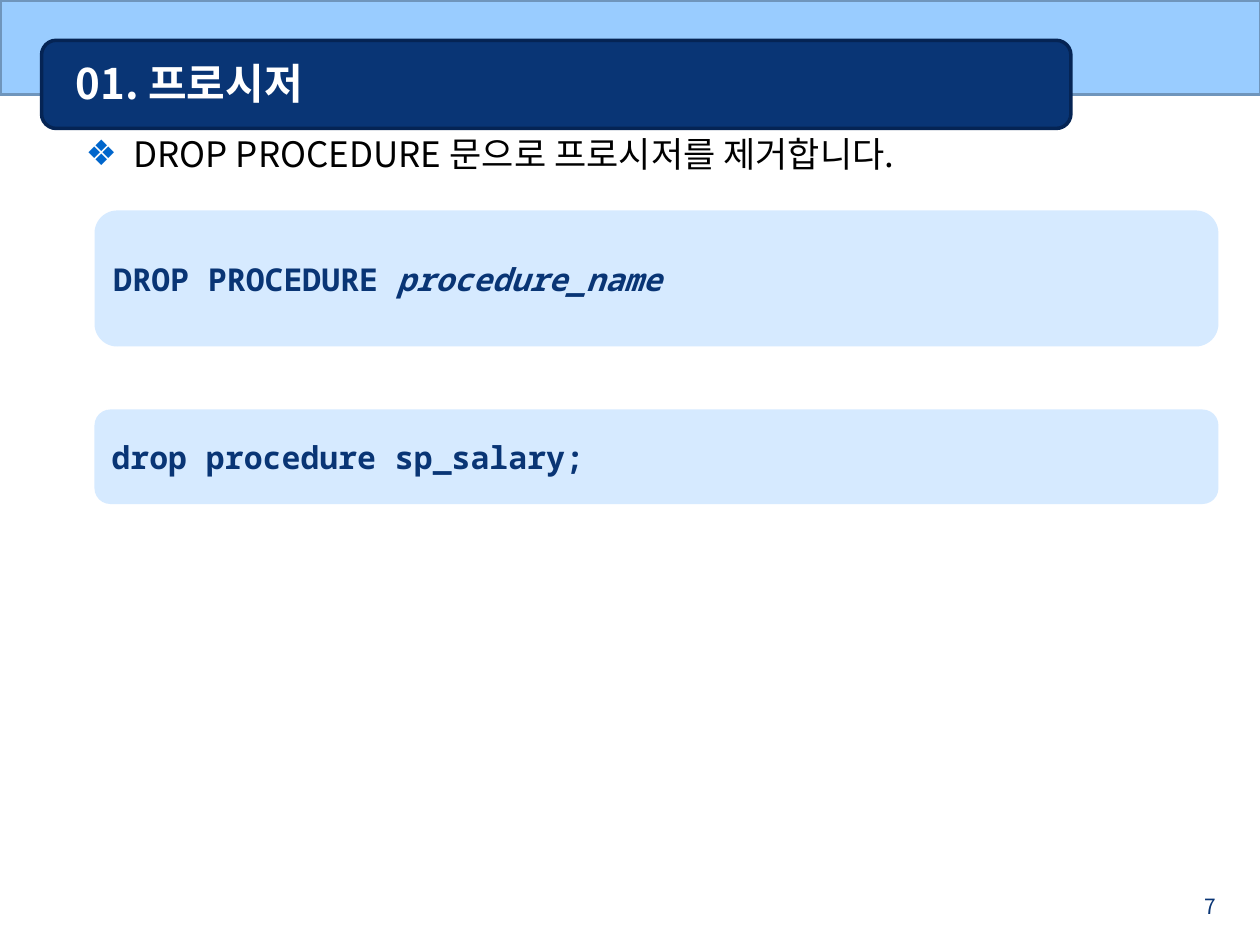
from dataclasses import dataclass

from lxml import etree
from pptx import Presentation
from pptx.dml.color import RGBColor
from pptx.enum.shapes import MSO_SHAPE
from pptx.enum.text import MSO_ANCHOR, MSO_AUTO_SIZE, PP_ALIGN
from pptx.oxml.ns import qn
from pptx.util import Inches, Pt

RECT = MSO_SHAPE.RECTANGLE
ROUNDED = MSO_SHAPE.ROUNDED_RECTANGLE
MIDDLE, TOP = MSO_ANCHOR.MIDDLE, MSO_ANCHOR.TOP
LEFT, RIGHT = PP_ALIGN.LEFT, PP_ALIGN.RIGHT
NO_AUTOFIT = MSO_AUTO_SIZE.NONE


@dataclass(frozen=True)
class Theme:
    sans: str = "Noto Sans CJK KR"
    mono: str = "Noto Sans Mono"
    navy: str = "093575"
    navy_edge: str = "052454"
    sky: str = "99CCFF"
    sky_edge: str = "6F95BC"
    bullet: str = "0066CC"
    white: str = "FFFFFF"
    black: str = "000000"
    title_size: int = 24
    body_size: int = 20
    code_size: int = 18
    number_size: int = 12
    code_opacity: int = 40


class SlideBuilder:
    """Adds styled elements to the current slide."""

    def __init__(self, slide, theme):
        self.slide = slide
        self.theme = theme

    def place(self, element, box):
        element.left, element.top, element.width, element.height = map(Inches, box)

    def style_run(self, run, size, color, face, bold=False, italic=False):
        font = run.font
        font.name, font.size = face, Pt(size)
        font.bold, font.italic = bold, italic
        font.color.rgb = RGBColor.from_string(color)
        east_asian = etree.SubElement(run._r.get_or_add_rPr(), qn("a:ea"))
        east_asian.set("typeface", face)

    def panel(self, kind, box, fill, edge=None):
        panel = self.slide.shapes.add_shape(kind, *map(Inches, box))
        panel.shadow.inherit = False
        panel.fill.solid()
        panel.fill.fore_color.rgb = RGBColor.from_string(fill)
        if edge:
            panel.line.color.rgb = RGBColor.from_string(edge)
            panel.line.width = Pt(2)
        else:
            panel.line.fill.background()
        return panel

    def placeholder(self, holder, box, text, anchor, size, color, bold=False):
        self.slide.shapes._spTree.append(holder._element)
        self.place(holder, box)
        frame = holder.text_frame
        frame.text = text
        frame.word_wrap = True
        frame.auto_size = NO_AUTOFIT
        frame.vertical_anchor = anchor
        paragraph = frame.paragraphs[0]
        paragraph.alignment = LEFT
        self.style_run(paragraph.runs[0], size, color, self.theme.sans, bold)
        return paragraph

    def title(self, box, text):
        theme = self.theme
        self.placeholder(self.slide.shapes.title, box, text, MIDDLE,
                         theme.title_size, theme.white, bold=True)

    def bullet(self, box, text):
        theme = self.theme
        paragraph = self.placeholder(self.slide.placeholders[1], box, text, TOP,
                                     theme.body_size, theme.black)
        paragraph.space_before = Pt(24)
        properties = paragraph._p.get_or_add_pPr()
        properties.set("marL", str(Inches(0.38)))
        properties.set("indent", str(Inches(-0.38)))
        color = etree.SubElement(properties, qn("a:buClr"))
        etree.SubElement(color, qn("a:srgbClr")).set("val", theme.bullet)
        etree.SubElement(properties, qn("a:buChar")).set("char", "❖")

    def code(self, top, height, statement, argument=None):
        theme = self.theme
        panel = self.panel(ROUNDED, (0.75, top, 8.92, height), theme.sky)
        color = panel._element.spPr.find(qn("a:solidFill"))[0]
        etree.SubElement(color, qn("a:alpha")).set("val", str(theme.code_opacity * 1000))
        frame = panel.text_frame
        frame.text = statement
        frame.word_wrap = False
        frame.vertical_anchor = MIDDLE
        paragraph = frame.paragraphs[0]
        paragraph.alignment = LEFT
        if argument:
            paragraph.add_run().text = argument
        for position, run in enumerate(paragraph.runs):
            self.style_run(run, theme.code_size, theme.navy, theme.mono,
                           bold=True, italic=position > 0)

    def page_number(self, box, number):
        theme = self.theme
        frame = self.slide.shapes.add_textbox(*map(Inches, box)).text_frame
        frame.text = number
        frame.word_wrap = True
        paragraph = frame.paragraphs[0]
        paragraph.alignment = RIGHT
        self.style_run(paragraph.runs[0], theme.number_size, theme.navy, theme.sans)


def main():
    deck = Presentation()
    deck.slide_width, deck.slide_height = Inches(10), Inches(7.5)
    theme = Theme()
    builder = SlideBuilder(deck.slides.add_slide(deck.slide_layouts[1]), theme)

    builder.panel(RECT, (0, 0, 10.01, 0.75), theme.sky, theme.sky_edge)
    builder.panel(ROUNDED, (0.33, 0.32, 8.17, 0.7), theme.navy, theme.navy_edge)
    builder.page_number((9.25, 7.04, 0.5, 0.21), "7")
    builder.title((0.5, 0.35, 7.92, 0.62), "01. 프로시저")
    builder.bullet((0.58, 1, 9, 6.14), "DROP PROCEDURE 문으로 프로시저를 제거합니다.")
    builder.code(1.67, 1.08, "DROP PROCEDURE ", "procedure_name")
    builder.code(3.25, 0.75, "drop procedure sp_salary;")

    deck.save("out.pptx")


if __name__ == "__main__":
    main()
